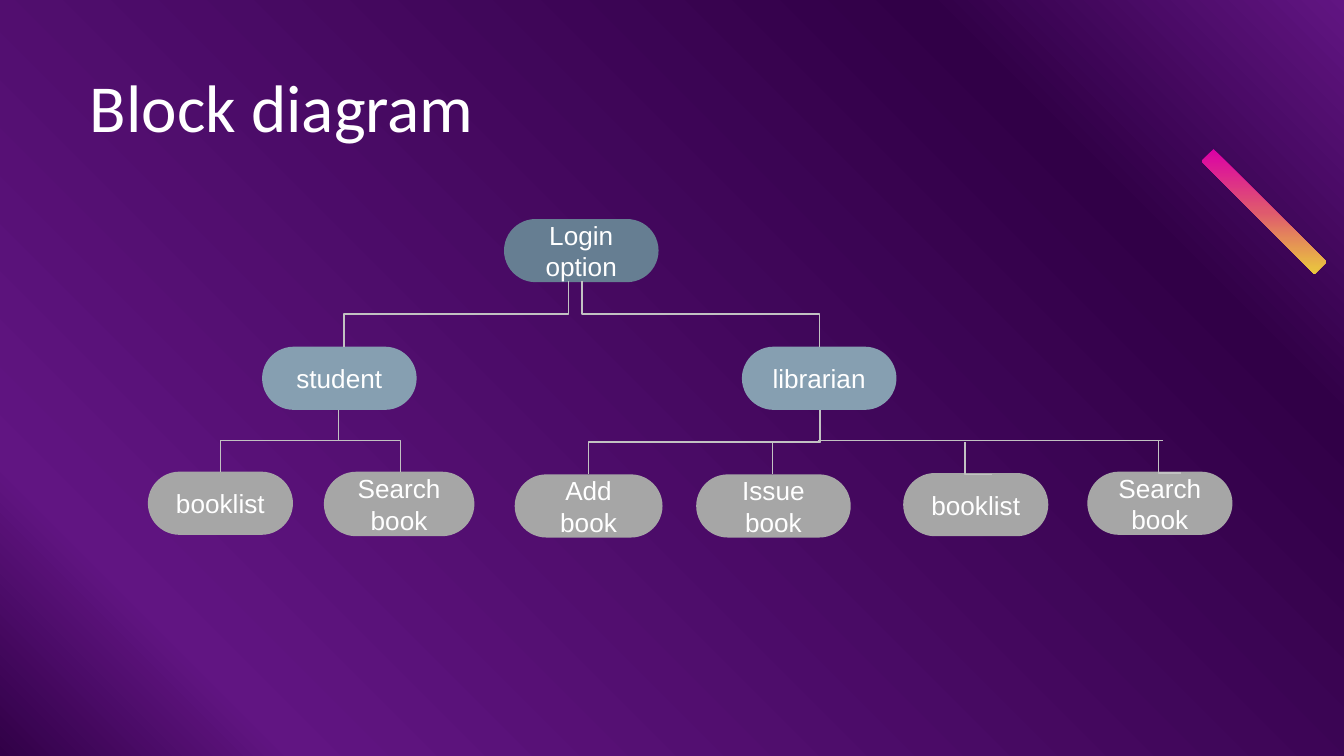
from typing import NamedTuple

from lxml import etree
from pptx import Presentation
from pptx.dml.color import RGBColor
from pptx.enum import shapes, text
from pptx.oxml import ns
from pptx.util import Inches, Pt

WHITE = RGBColor(0xFF, 0xFF, 0xFF)
SLATE = RGBColor(0x66, 0x7E, 0x92)
STEEL = RGBColor(0x86, 0x9F, 0xB1)
GREY = RGBColor(0xA6, 0xA6, 0xA6)
RULE = RGBColor(0xC2, 0xC2, 0xC2)
DARK = RGBColor(0x31, 0x00, 0x47)
PURPLE = RGBColor(0x61, 0x15, 0x82)
PINK = RGBColor(0xDB, 0x00, 0xA6)
CORAL = RGBColor(0xDF, 0x59, 0x6E)
GOLD = RGBColor(0xEA, 0xC9, 0x3D)


class Node(NamedTuple):
    label: str
    left: float
    top: float
    fill: RGBColor
    width: float = 1.15
    height: float = 0.47


class Link(NamedTuple):
    """An elbow that leaves its start downwards and turns at a share of the drop."""
    x1: float
    y1: float
    x2: float
    y2: float
    turn: float = 0.5


NODES = [
    Node("Login option", 3.75, 1.63, SLATE),
    Node("librarian", 5.52, 2.58, STEEL),
    Node("student", 1.95, 2.58, STEEL),
    Node("booklist", 1.1, 3.51, GREY, 1.08),
    Node("Search book", 2.41, 3.51, GREY, 1.12, 0.48),
    Node("Add book", 3.83, 3.53, GREY, 1.1),
    Node("Issue book", 5.18, 3.53, GREY),
    Node("booklist", 6.72, 3.52, GREY, 1.08),
    Node("Search book", 8.09, 3.51, GREY, 1.08),
]
LINKS = [
    Link(4.33, 2.09, 6.1, 2.58),
    Link(4.23, 2.09, 2.56, 2.58),
    Link(2.52, 3.05, 2.98, 3.51),
    Link(2.52, 3.05, 1.64, 3.51),
    Link(6.1, 3.05, 5.75, 3.53),
    Link(6.1, 3.05, 4.38, 3.53),
    Link(7.18, 3.29, 7.38, 3.53, 1),
]


def blend(root, stops: list[tuple[int, RGBColor]]) -> None:
    """Replace the stops of the gradient found under root."""
    grad = root.find(".//" + ns.qn("a:gsLst"))
    for old in list(grad):
        grad.remove(old)
    for share, color in stops:
        stop = etree.SubElement(grad, ns.qn("a:gs"), pos=str(share * 1000))
        etree.SubElement(stop, ns.qn("a:srgbClr"), val=str(color))


def style(frame, size: int, font: str) -> None:
    for run in frame.paragraphs[0].runs:
        run.font.size = Pt(size)
        run.font.name = font
        run.font.color.rgb = WHITE


def add_node(slide, node: Node) -> None:
    box = slide.shapes.add_shape(
        shapes.MSO_SHAPE.ROUNDED_RECTANGLE, Inches(node.left), Inches(node.top),
        Inches(node.width), Inches(node.height))
    box.adjustments[0] = 0.5
    box.shadow.inherit = False
    box.fill.solid()
    box.fill.fore_color.rgb = node.fill
    box.line.fill.background()
    frame = box.text_frame
    frame.word_wrap = True
    frame.vertical_anchor = text.MSO_ANCHOR.MIDDLE
    frame.margin_left = frame.margin_right = Inches(0.1)
    frame.margin_top = frame.margin_bottom = Inches(0.1)
    frame.text = node.label
    frame.paragraphs[0].alignment = text.PP_ALIGN.CENTER
    style(frame, 14, "Arial")


def add_line(slide, kind, x1: float, y1: float, x2: float, y2: float):
    line = slide.shapes.add_connector(
        kind, Inches(x1), Inches(y1), Inches(x2), Inches(y2))
    line.line.color.rgb = RULE
    line.line.width = Pt(0.75)
    etree.SubElement(line._element.spPr, ns.qn("a:effectLst"))
    return line


def add_elbow(slide, x1: float, y1: float, x2: float, y2: float, turn: float):
    line = add_line(slide, shapes.MSO_CONNECTOR.ELBOW, x1, y1, x2, y2)
    guides = line._element.spPr.find(".//" + ns.qn("a:avLst"))
    etree.SubElement(guides, ns.qn("a:gd"), name="adj1",
                     fmla=f"val {round(turn * 100000)}")
    return line


def add_link(slide, link: Link) -> None:
    """Lay the elbow out sideways, then turn it upright about its centre."""
    mid_x, mid_y = (link.x1 + link.x2) / 2, (link.y1 + link.y2) / 2
    side = 1 if link.x2 < link.x1 else -1
    half_w = side * (link.y2 - link.y1) / 2
    half_h = side * (link.x1 - link.x2) / 2
    line = add_elbow(slide, mid_x - half_w, mid_y - half_h,
                     mid_x + half_w, mid_y + half_h, link.turn)
    frame = line._element.spPr.find(ns.qn("a:xfrm"))
    frame.set("rot", str(side * 90 % 360 * 60000))


def add_bar(slide) -> None:
    pen = slide.shapes.build_freeform(Inches(8.94), Inches(1.2), scale=1.0)
    pen.add_line_segments([(Inches(x), Inches(y)) for x, y in
                           [(9.03, 1.11), (9.87, 1.95), (9.78, 2.04)]])
    bar = pen.convert_to_shape()
    bar.shadow.inherit = False
    bar.line.fill.background()
    bar.fill.gradient()
    bar.fill.gradient_angle = 270
    blend(bar._element, [(0, PINK), (50, CORAL), (100, GOLD)])


def add_title(slide) -> None:
    box = slide.shapes.add_textbox(
        Inches(0.57), Inches(0.44), Inches(5.94), Inches(0.71))
    box.text_frame.word_wrap = True
    box.text_frame.text = "Block diagram"
    style(box.text_frame, 36, "Calibri")


def main() -> None:
    deck = Presentation()
    deck.slide_width = Inches(10)
    deck.slide_height = Inches(10) * 9 // 16
    slide = deck.slides.add_slide(deck.slide_layouts[6])
    back = slide.background.fill
    back.gradient()
    back.gradient_angle = 45
    blend(slide._element, [(0, DARK), (14, PURPLE), (80, DARK), (100, PURPLE)])

    add_bar(slide)
    for node in NODES:
        add_node(slide, node)
    for link in LINKS:
        add_link(slide, link)
    add_line(slide, shapes.MSO_CONNECTOR.STRAIGHT, 6.09, 3.28, 8.65, 3.28)
    add_elbow(slide, 8.53, 3.28, 8.79, 3.52, 0.35)
    add_title(slide)
    deck.save("out.pptx")


if __name__ == "__main__":
    main()
